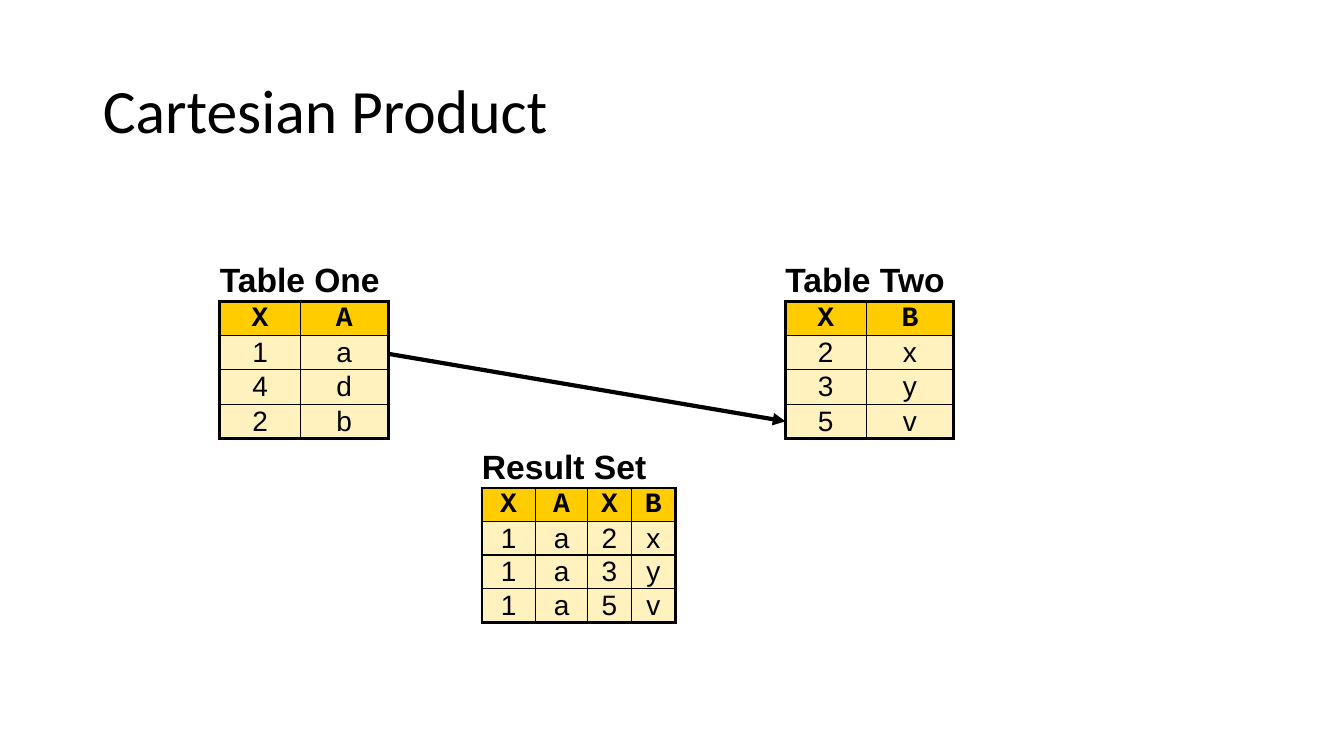
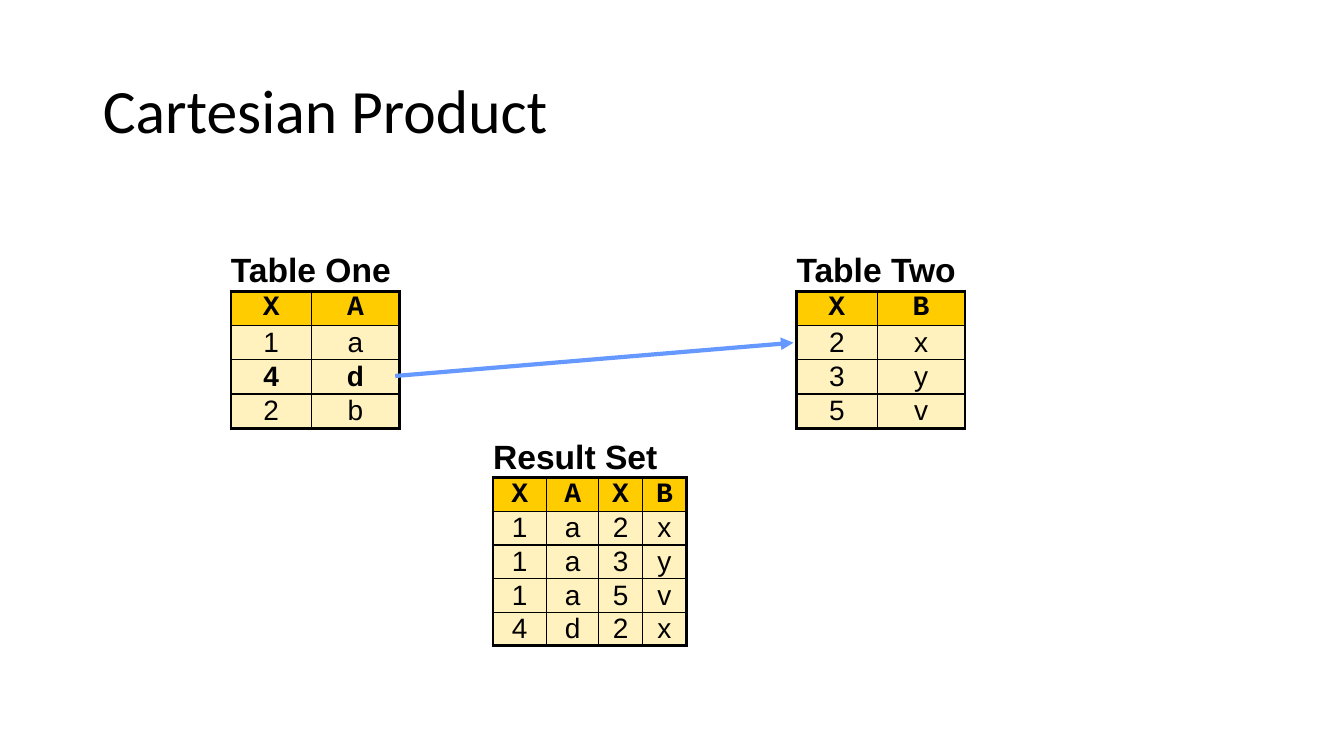
from dataclasses import dataclass
from itertools import product

from lxml.etree import SubElement
from pptx import Presentation
from pptx.dml.color import RGBColor as RGB
from pptx.enum.shapes import MSO_CONNECTOR as LINE
from pptx.enum.text import MSO_ANCHOR as ANCHOR, PP_ALIGN as ALIGN
from pptx.oxml.ns import qn
from pptx.util import Inches, Pt


@dataclass(frozen=True)
class Theme:
    ink: str = "000000"
    head: str = "FFCC00"
    body: str = "FFF2BE"
    blue: str = "6699FF"
    title: str = "Calibri"
    sans: str = "Arial"
    mono: str = "Courier New"
    big: int = 44
    name: int = 24
    cell: int = 20
    thick: float = 2.25
    thin: float = 1
    arrow: float = 3


T = Theme()


def edge(cell, side, width):
    """Draw one side (L, R, T or B) of a cell; width 0 hides it."""
    line = SubElement(cell._tc.get_or_add_tcPr(), qn(f"a:ln{side}"), w=str(Pt(width)))
    if width:
        fill = SubElement(line, qn("a:solidFill"))
        SubElement(fill, qn("a:srgbClr"), val=T.ink)
    else:
        SubElement(line, qn("a:noFill"))


def grid(slide, x, y, name, cols, high, rows, bold=None):
    """Add a named table: rows[0] is the header, bold the row to stress."""
    last = len(rows)
    frame = slide.shapes.add_table(last + 1, len(cols), Inches(x), Inches(y),
                                   Inches(sum(cols)), Inches(0.4 + high * last))
    table = frame.table
    table.first_row = table.horz_banding = False
    for col, wide in zip(table.columns, cols):
        col.width = Inches(wide)
    for r, row in enumerate(table.rows):
        row.height = Inches(high if r else 0.4)
        for c, cell in enumerate(row.cells):
            edge(cell, "L", 0 if r == 0 else T.thin if c else T.thick)
            edge(cell, "R", 0 if r == 0 else T.thin if c < len(cols) - 1 else T.thick)
            edge(cell, "T", 0 if r == 0 else T.thick if r == 1 else T.thin)
            edge(cell, "B", T.thick if r in (0, last) else T.thin)
            cell.vertical_anchor = ANCHOR.MIDDLE
            cell.margin_top = cell.margin_bottom = 0
            cell.margin_left = cell.margin_right = Inches(0.1 if r else 0)
            if r:
                cell.fill.solid()
                cell.fill.fore_color.rgb = RGB.from_string(T.head if r == 1 else T.body)
                cell.text = rows[r - 1][c]
            else:
                cell.fill.background()
                cell.text = "" if c else name
            para = cell.text_frame.paragraphs[0]
            para.alignment = ALIGN.CENTER if r else ALIGN.LEFT
            font = para.font
            font.name = T.mono if r == 1 else T.sans
            font.size = Pt(T.cell if r else T.name)
            font.bold = r < 2 or r - 1 == bold
            font.color.rgb = RGB.from_string(T.ink)
    table.cell(0, 0).merge(table.cell(0, len(cols) - 1))


one = ["XA", "1a", "4d", "2b"]
two = ["XB", "2x", "3y", "5v"]
pairs = [a + b for a, b in product(one[1:], two[1:])]

# shift of the tables, result rows shown, stressed row, arrow ends and colour
steps = [
    (0, 0, 3, None, (3.85, 3.51, 7.79, 4.18), T.ink),
    (0.11, -0.1, 4, 2, (3.92, 3.73, 7.87, 3.4), T.blue),
]

deck = Presentation()
deck.slide_width, deck.slide_height = Inches(13.33), Inches(7.5)
layout = deck.slide_layouts[5]
spot = layout.placeholders[0]
spot.left, spot.top, spot.width, spot.height = map(Inches, (0.92, 0.4, 11.5, 1.45))

for dx, dy, count, bold, ends, color in steps:
    slide = deck.slides.add_slide(layout)
    title = slide.shapes.title
    title.text = "Cartesian Product"
    title.text_frame.vertical_anchor = ANCHOR.MIDDLE
    para = title.text_frame.paragraphs[0]
    para.alignment = ALIGN.LEFT
    para.line_spacing = 0.9
    para.font.name = T.title
    para.font.size = Pt(T.big)
    para.font.color.rgb = RGB.from_string(T.ink)

    grid(slide, 2.18 + dx, 2.59 + dy, "Table One", (0.8, 0.87), 0.34, one, bold)
    grid(slide, 7.79 + dx, 2.59 + dy, "Table Two", (0.8, 0.87), 0.34, two)
    grid(slide, 4.78 + dx, 4.44 + dy, "Result Set", (0.53, 0.52, 0.43, 0.44), 1 / 3,
         [one[0] + two[0], *pairs[:count]])

    arrow = slide.shapes.add_connector(LINE.STRAIGHT, *map(Inches, ends))
    arrow.line.color.rgb = RGB.from_string(color)
    arrow.line.width = Pt(T.arrow)
    SubElement(arrow.line._get_or_add_ln(), qn("a:tailEnd"), type="triangle")
    SubElement(arrow._element.spPr, qn("a:effectLst"))

deck.save("out.pptx")
